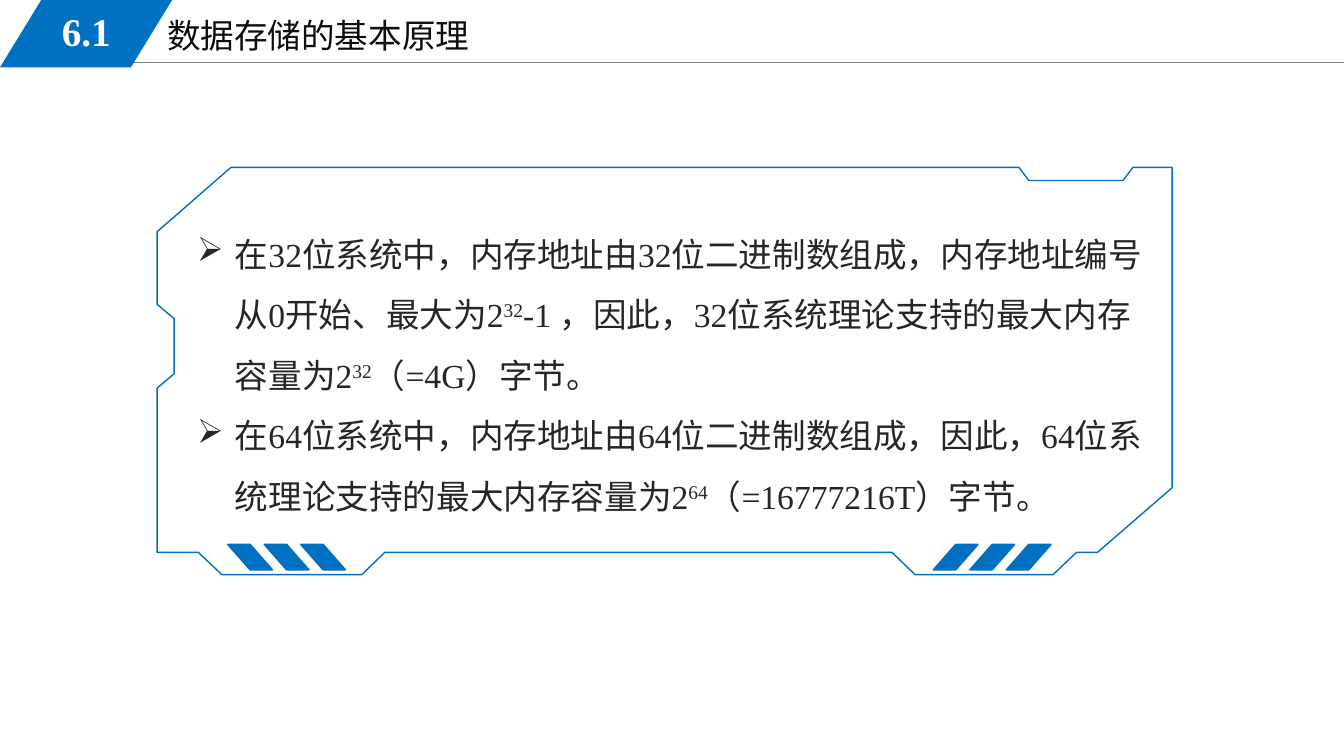
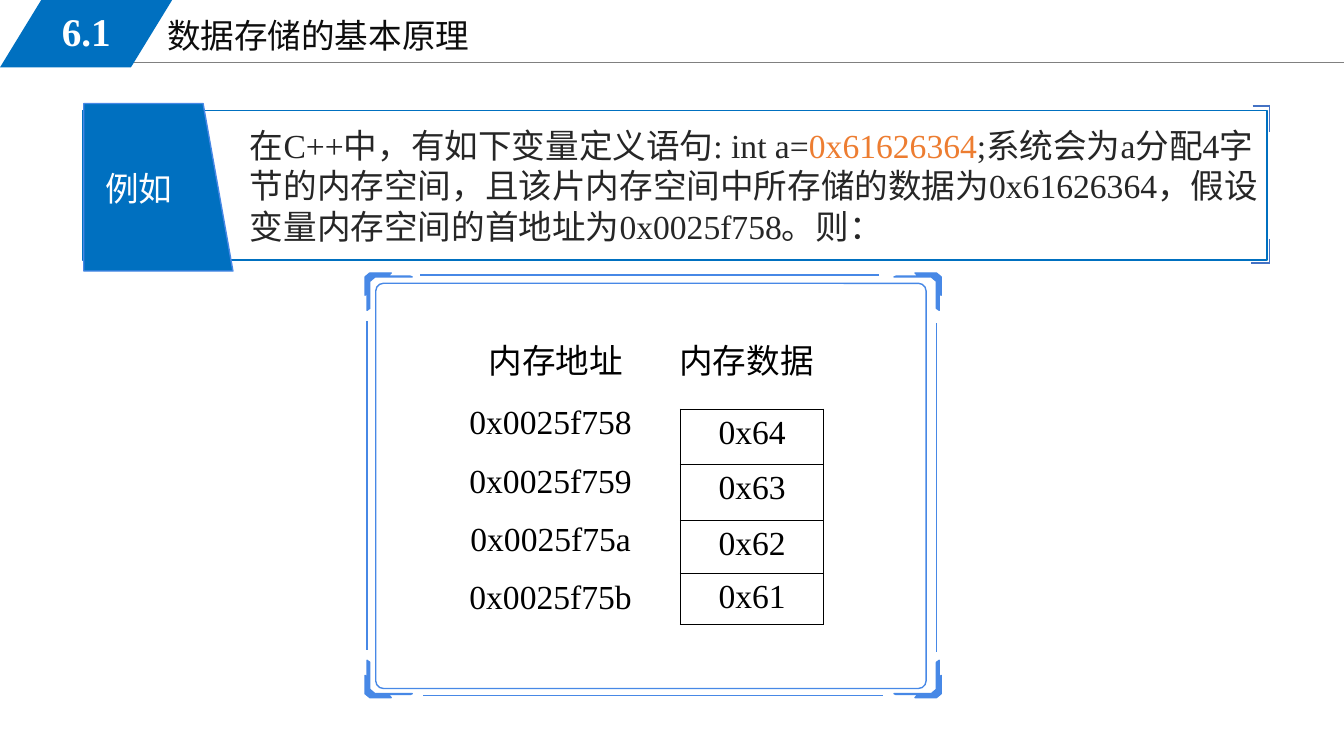
import lxml.etree
import pptx
import pptx.dml.color
import pptx.enum.shapes
import pptx.enum.text
import pptx.oxml.ns
import pptx.util

Cm, Pt = pptx.util.Cm, pptx.util.Pt
qn, sub = pptx.oxml.ns.qn, lxml.etree.SubElement
KIND = pptx.enum.shapes.MSO_SHAPE
LINE = pptx.enum.shapes.MSO_CONNECTOR.STRAIGHT
LEFT, MID = pptx.enum.text.PP_ALIGN.LEFT, pptx.enum.text.PP_ALIGN.CENTER
BLUE, SKY, NAVY, GRAY = "0070C0", "4788E6", "4472C4", "808080"
INK, DARK, BLACK, WHITE, WARM = "262626", "0D0D0D", "000000", "FFFFFF", "ED7D31"
ROMAN, HAN = "Times New Roman", "Noto Sans CJK SC"


def tint(fill, code):
    if code is None:
        fill.background()
    else:
        fill.solid()
        fill.fore_color.rgb = pptx.dml.color.RGBColor.from_string(code)


def say(para, text, code, face=ROMAN, size=24, bold=False, base=0):
    run = para.add_run()
    run.text = text
    run.font.size = Pt(size)
    run.font.bold = bold
    run.font.name = face
    tint(run.font.fill, code)
    props = run._r.get_or_add_rPr()
    props.set("lang", "zh-CN")
    if base:
        props.set("baseline", str(base * 1000))
    sub(props, qn("a:ea")).set("typeface", HAN)


deck = pptx.Presentation()
deck.slide_width, deck.slide_height = Cm(33.87), Cm(19.05)
blank = deck.slide_layouts[6]
for holder in list(blank.placeholders):
    holder.element.getparent().remove(holder.element)
first = deck.slides.add_slide(blank)
second = deck.slides.add_slide(blank)
styles = []

rule = first.shapes.add_connector(LINE, Cm(2.87), Cm(1.57), Cm(33.87), Cm(1.57))
badge = first.shapes.add_shape(KIND.PARALLELOGRAM, 0, 0, Cm(4.34), Cm(1.7))
badge.adjustments[0] = 0.612
styles += [(rule, None, GRAY, 0.75), (badge, BLUE, None, 0)]
header = [rule, badge]

panel = [
    (23.06, 14.48), (26.54, 14.48), (27.13, 13.92), (27.66, 13.92),
    (29.54, 12.29), (29.54, 4.22), (28.55, 4.22), (28.3, 4.55),
    (25.93, 4.55), (25.68, 4.22), (5.82, 4.22), (3.96, 5.84),
    (3.96, 7.67), (4.39, 8.03), (4.39, 9.42), (3.96, 9.78),
    (3.96, 13.92), (5, 13.92), (5.59, 14.48), (9.12, 14.48),
    (9.7, 13.92), (22.48, 13.92),
]
outlines = [(first, panel, None, BLUE)]
corner = [
    (-7.14, -5.35), (-6.6, -5.35), (-6.68, -5.27), (-6.12, -5.27),
    (-6.07, -5.25), (-7.01, -5.25), (-7.14, -5.14), (-7.14, -4.46),
    (-7.21, -4.41), (-7.21, -4.84), (-7.26, -4.79), (-7.26, -5.25),
]
for across in (1, -1):
    for down in (1, -1):
        points = [(16.46 + across * x, 12.23 + down * y) for x, y in corner]
        outlines.append((second, points, SKY, SKY))
for slide, points, fill, line in outlines:
    spots = [(Cm(x), Cm(y)) for x, y in points]
    pen = slide.shapes.build_freeform(*spots[0])
    pen.add_line_segments(spots[1:], close=True)
    styles.append((pen.convert_to_shape(), fill, line, 1))

for start, flip in ((5.74, True), (23.52, False)):
    for step in range(3):
        stripe = first.shapes.add_shape(
            KIND.PARALLELOGRAM, Cm(start + 0.92 * step), Cm(13.72), Cm(1.13), Cm(0.64))
        stripe.adjustments[0] = 0.878
        if flip:
            stripe.element.spPr.xfrm.set("flipH", "1")
        styles.append((stripe, BLUE, BLUE, 1))

frame = second.shapes.add_shape(KIND.RECTANGLE, Cm(2.08), Cm(2.79), Cm(29.85), Cm(3.76))
tag = second.shapes.add_shape(
    KIND.FLOWCHART_MANUAL_INPUT, Cm(1.88), Cm(2.84), Cm(4.22), Cm(3.76))
tag.rotation = 90
card = second.shapes.add_shape(
    KIND.ROUNDED_RECTANGLE, Cm(9.47), Cm(7.14), Cm(13.87), Cm(10.21))
card.adjustments[0] = 0.019
styles += [(frame, None, BLUE, 1), (tag, BLUE, SKY, 1), (card, None, SKY, 1)]
for x1, y1, x2, y2, code in (
    (31.57, 2.67, 32, 2.67, NAVY),
    (32, 2.64, 32, 3.33, NAVY),
    (32, 6.02, 32, 6.65, NAVY),
    (32, 6.63, 31.52, 6.63, NAVY),
    (10.59, 6.93, 22.15, 6.93, SKY),
    (10.67, 17.53, 22.25, 17.53, SKY),
    (9.25, 8.1, 9.25, 16.38, SKY),
    (23.6, 8.15, 23.6, 16.43, SKY),
):
    edge = second.shapes.add_connector(LINE, Cm(x1), Cm(y1), Cm(x2), Cm(y2))
    styles.append((edge, None, code, 1))

for shape, fill, line, width in styles:
    if shape.shape_type != pptx.enum.shapes.MSO_SHAPE_TYPE.LINE:
        tint(shape.fill, fill)
    tint(shape.line.fill, line)
    if line:
        shape.line.width = Pt(width)
    sub(shape.element.spPr, qn("a:effectLst"))

for slide, x, y, w, h, align, text, code, face, size, bold in (
    (first, 3.96, 0.23, 14.4, 1.3, LEFT, "数据存储的基本原理", DARK, ROMAN, 24, False),
    (first, 0.64, 0.05, 3.07, 1.47, MID, "6.1", WHITE, ROMAN, 28, True),
    (second, 1.8, 4.11, 3.4, 1.27, MID, "例如", WHITE, HAN, 24, False),
    (second, 12.06, 8.43, 4, 1.27, LEFT, "内存地址", BLACK, HAN, 24, False),
    (second, 16.87, 8.43, 4, 1.27, LEFT, "内存数据", BLACK, HAN, 24, False),
):
    box = slide.shapes.add_textbox(Cm(x), Cm(y), Cm(w), Cm(h))
    box.text_frame.word_wrap = True
    box.text_frame.vertical_anchor = pptx.enum.text.MSO_ANCHOR.MIDDLE
    para = box.text_frame.paragraphs[0]
    para.alignment = align
    say(para, text, code, face, size, bold)
    if slide is first:
        header.append(box)

for shape in header:
    blank.shapes.element.append(shape.element)

points = [
    [("在32位系统中，内存地址由32位二进制数组成，内存地址编号从0开始、最大为2", 0),
     ("32", 30), ("-1 ，因此，32位系统理论支持的最大内存容量为2", 0),
     ("32", 30), ("（=4G）字节。", 0)],
    [("在64位系统中，内存地址由64位二进制数组成，因此，64位系统理论支持的最大内存容量为2", 0),
     ("64", 30), ("（=16777216T）字节。", 0)],
]
body = first.shapes.add_textbox(Cm(4.72), Cm(5.26), Cm(24.56), Cm(7.95)).text_frame
body.word_wrap = True
for place, runs in enumerate(points):
    para = body.add_paragraph() if place else body.paragraphs[0]
    props = para._p.get_or_add_pPr()
    props.set("marL", str(Cm(0.95)))
    props.set("indent", str(-Cm(0.95)))
    sub(sub(props, qn("a:buClr")), qn("a:srgbClr")).set("val", INK)
    sub(props, qn("a:buChar")).set("char", "➢")
    para.line_spacing = 1.5
    for text, base in runs:
        say(para, text, INK, base=base)

lead = second.shapes.add_textbox(Cm(6.05), Cm(3.02), Cm(25.91), Cm(3.33)).text_frame
lead.word_wrap = True
for text, code in (
    ("在C++中，有如下变量定义语句: int a=", INK),
    ("0x61626364", WARM),
    (";系统会为a分配4字节的内存空间，且该片内存空间中所存储的数据为0x61626364，"
     "假设变量内存空间的首地址为0x0025f758。则：", INK),
):
    say(lead.paragraphs[0], text, code)

for x, y, w, rows, words, lined in (
    (17.15, 10.31, 3.61, (1.39, 1.41, 1.34, 1.29),
     ("0x64", "0x63", "0x62", "0x61"), True),
    (11.4, 10.08, 4.95, (1.47,) * 4,
     ("0x0025f758", "0x0025f759", "0x0025f75a", "0x0025f75b"), False),
):
    grid = second.shapes.add_table(4, 1, Cm(x), Cm(y), Cm(w), Cm(sum(rows))).table
    grid.first_row = grid.horz_banding = False
    grid._tbl.tblPr[0].text = "{2D5ABB26-0587-4C30-8999-92F81FD0307C}"
    for row, high, word in zip(grid.rows, rows, words):
        row.height = Cm(high)
        cell = row.cells[0]
        if lined:
            for side in ("a:lnL", "a:lnR", "a:lnT", "a:lnB"):
                edge = sub(cell._tc.get_or_add_tcPr(), qn(side))
                edge.set("w", str(Pt(1)))
                sub(sub(edge, qn("a:solidFill")), qn("a:srgbClr")).set("val", BLACK)
        tint(cell.fill, None)
        para = cell.text_frame.paragraphs[0]
        para.alignment = MID
        say(para, word, BLACK)

deck.save("out.pptx")
